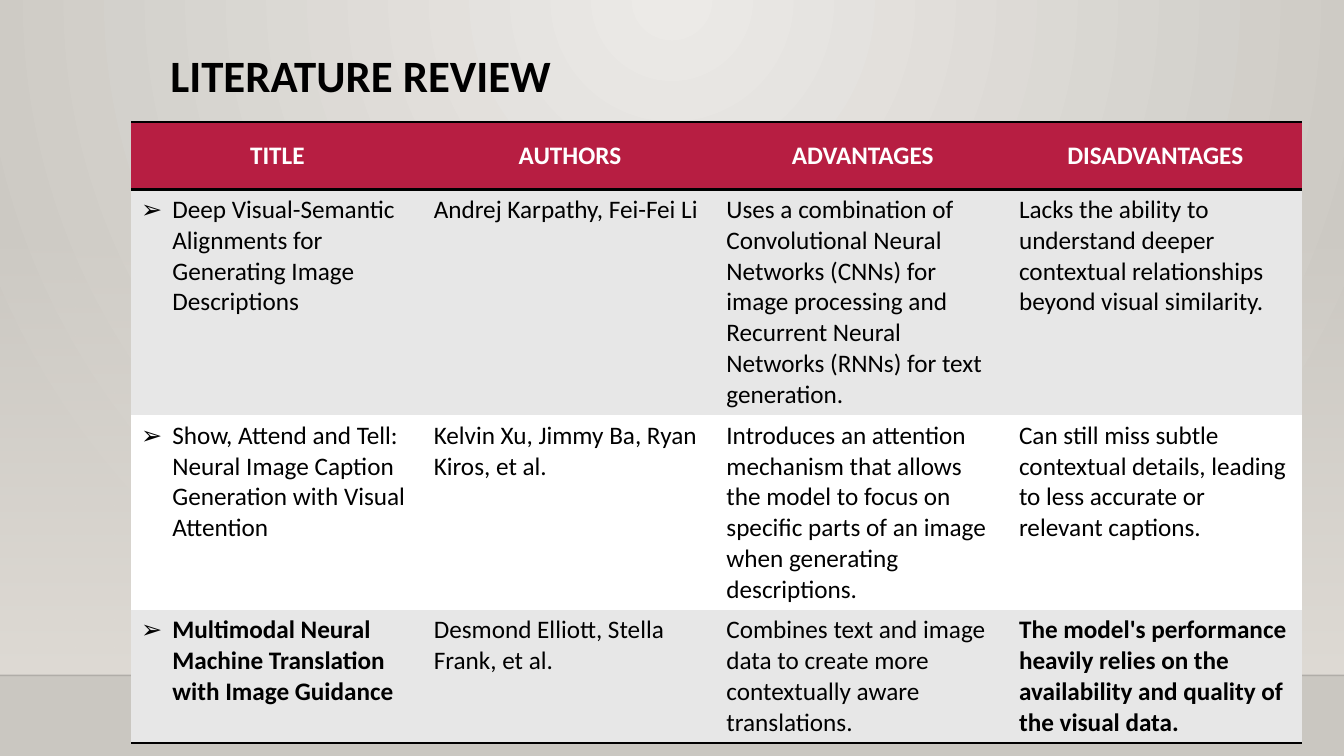
import pptx
import pptx.dml.color
import pptx.enum.shapes
import pptx.enum.text
import pptx.oxml
import pptx.oxml.ns
import pptx.util

Inches = pptx.util.Inches
Pt = pptx.util.Pt
RGBColor = pptx.dml.color.RGBColor
qn = pptx.oxml.ns.qn

BLACK = RGBColor(0x00, 0x00, 0x00)
WHITE = RGBColor(0xFF, 0xFF, 0xFF)
CRIMSON = RGBColor(0xB7, 0x1E, 0x42)
BAND_GREY = RGBColor(0xE7, 0xE7, 0xE7)
GLOW = RGBColor(0xEC, 0xEA, 0xE7)
STONE = RGBColor(0xCA, 0xC7, 0xC1)
WALL = RGBColor(0xDF, 0xDB, 0xD5)

FONT = "Calibri"
NO_STYLE = "{2D5ABB26-0587-4C30-8999-92F81FD0307C}"
ROW_HEIGHTS = [0.67, 2.24, 1.93, 1.32]
HEADINGS = ["TITLE", "AUTHORS", "ADVANTAGES", "DISADVANTAGES"]
PAPERS = [
    ["Deep Visual-Semantic Alignments for Generating Image Descriptions",
     "Andrej Karpathy, Fei-Fei Li",
     "Uses a combination of Convolutional Neural Networks (CNNs) for image processing "
     "and Recurrent Neural Networks (RNNs) for text generation.",
     "Lacks the ability to understand deeper contextual relationships beyond visual similarity."],
    ["Show, Attend and Tell: Neural Image Caption Generation with Visual Attention",
     "Kelvin Xu, Jimmy Ba, Ryan Kiros, et al.",
     "Introduces an attention mechanism that allows the model to focus on specific parts "
     "of an image when generating descriptions.",
     "Can still miss subtle contextual details, leading to less accurate or relevant captions."],
    ["Multimodal Neural Machine Translation with Image Guidance",
     "Desmond Elliott, Stella Frank, et al.",
     "Combines text and image data to create more contextually aware translations.",
     "The model's performance heavily relies on the availability and quality of the visual data."],
]
BOLD_CELLS = {(3, 0), (3, 3)}


def drawing_xml(markup):
    """Parse a DrawingML fragment whose root tag ends its name with a space."""
    namespace = pptx.oxml.ns.nsdecls("a")
    return pptx.oxml.parse_xml(markup.replace(" ", f" {namespace} ", 1))


def set_alpha(color_element, percent):
    """Give a colour element an opacity."""
    color_element.append(drawing_xml(f'<a:alpha val="{percent * 1000}"/>'))


def set_gradient(fill, start, end):
    """Fill with two colours and return the gradient element's stops."""
    fill.gradient()
    for stop, color in zip(fill.gradient_stops, (start, end)):
        stop.color.rgb = color


def add_backdrop(slide, width, floor_top):
    """Draw the radial glow, the fading wall and the floor line."""
    set_gradient(slide.background.fill, GLOW, STONE)
    glow = next(slide.background._cSld.iter(qn("a:gradFill")))
    glow.replace(glow.find(qn("a:lin")), drawing_xml(
        '<a:path path="circle"><a:fillToRect l="43000" t="0" r="43000" b="100000"/></a:path>'))

    wall_top = Inches(2.21)
    wall = slide.shapes.add_shape(pptx.enum.shapes.MSO_SHAPE.RECTANGLE,
                                  0, wall_top, width, floor_top - wall_top)
    wall.shadow.inherit = False
    wall.line.fill.background()
    set_gradient(wall.fill, WALL, WALL)
    wall.fill.gradient_angle = 270
    set_alpha(next(wall._element.spPr.iter(qn("a:srgbClr"))), 0)

    floor = slide.shapes.add_connector(pptx.enum.shapes.MSO_CONNECTOR.STRAIGHT,
                                       0, floor_top, width, floor_top)
    floor.line.width = Pt(1)
    floor.line.color.rgb = BLACK
    set_alpha(next(floor._element.spPr.iter(qn("a:srgbClr"))), 20)
    floor._element.spPr.append(drawing_xml("<a:effectLst />"))


def format_text(paragraph, size, color, bold):
    """Apply the slide font to every run of a paragraph."""
    for run in paragraph.runs:
        run.font.name = FONT
        run.font.size = Pt(size)
        run.font.color.rgb = color
        run.font.bold = bold


def place_title(slide, left, top, width, height):
    """Move and format the slide title."""
    title = slide.shapes.title
    title.left, title.top, title.width, title.height = left, top, width, height
    frame = title.text_frame
    frame.text = "LITERATURE REVIEW"
    frame.word_wrap = True
    frame.vertical_anchor = pptx.enum.text.MSO_ANCHOR.TOP
    heading = frame.paragraphs[0]
    heading.alignment = pptx.enum.text.PP_ALIGN.LEFT
    heading.line_spacing = 0.9
    format_text(heading, 32, BLACK, True)


def add_rules(cell, sides):
    """Draw black rules on the given sides of a cell."""
    properties = cell._tc.get_or_add_tcPr()
    for position, side in enumerate(sides):
        properties.insert(position, drawing_xml(
            f'<a:ln{side} w="{Pt(2)}"><a:solidFill><a:srgbClr val="{BLACK}"/></a:solidFill></a:ln{side}>'))


def add_arrow_bullet(paragraph):
    """Give a paragraph a hanging arrow bullet."""
    properties = paragraph._p.get_or_add_pPr()
    properties.set("marL", str(Inches(0.31)))
    properties.set("indent", str(-Inches(0.31)))
    properties.append(drawing_xml('<a:buFont typeface="Wingdings"/>'.replace("Wingdings", FONT)))
    properties.append(drawing_xml('<a:buChar char="➢"/>'))


def add_review_table(slide, left, top, width):
    """Build the table of reviewed papers."""
    rows = [HEADINGS] + PAPERS
    height = Inches(sum(ROW_HEIGHTS))
    table = slide.shapes.add_table(len(rows), len(HEADINGS), left, top, width, height).table
    table._tbl.tblPr.find(qn("a:tableStyleId")).text = NO_STYLE
    for row, row_height in zip(table.rows, ROW_HEIGHTS):
        row.height = Inches(row_height)
    for r, texts in enumerate(rows):
        is_header = r == 0
        for c, text in enumerate(texts):
            cell = table.cell(r, c)
            cell.text_frame.text = text
            paragraph = cell.text_frame.paragraphs[0]
            cell.fill.solid()
            if is_header:
                cell.fill.fore_color.rgb = CRIMSON
                cell.vertical_anchor = pptx.enum.text.MSO_ANCHOR.MIDDLE
                paragraph.alignment = pptx.enum.text.PP_ALIGN.CENTER
                add_rules(cell, "TB")
            else:
                cell.fill.fore_color.rgb = BAND_GREY if r % 2 else WHITE
                if c == 0:
                    add_arrow_bullet(paragraph)
                if r == len(PAPERS):
                    add_rules(cell, "B")
            format_text(paragraph, 18, WHITE if is_header else BLACK,
                        is_header or (r, c) in BOLD_CELLS)


def main():
    """Build and save the literature review slide."""
    deck = pptx.Presentation()
    deck.slide_width, deck.slide_height = Inches(13.33), Inches(7.5)
    slide = deck.slides.add_slide(deck.slide_layouts.get_by_name("Title Only"))
    add_backdrop(slide, deck.slide_width, Inches(6.7))
    place_title(slide, Inches(1.59), Inches(0.48), Inches(10.5), Inches(0.78))
    add_review_table(slide, Inches(1.3), Inches(1.21), Inches(11.61))
    deck.save("out.pptx")


if __name__ == "__main__":
    main()
